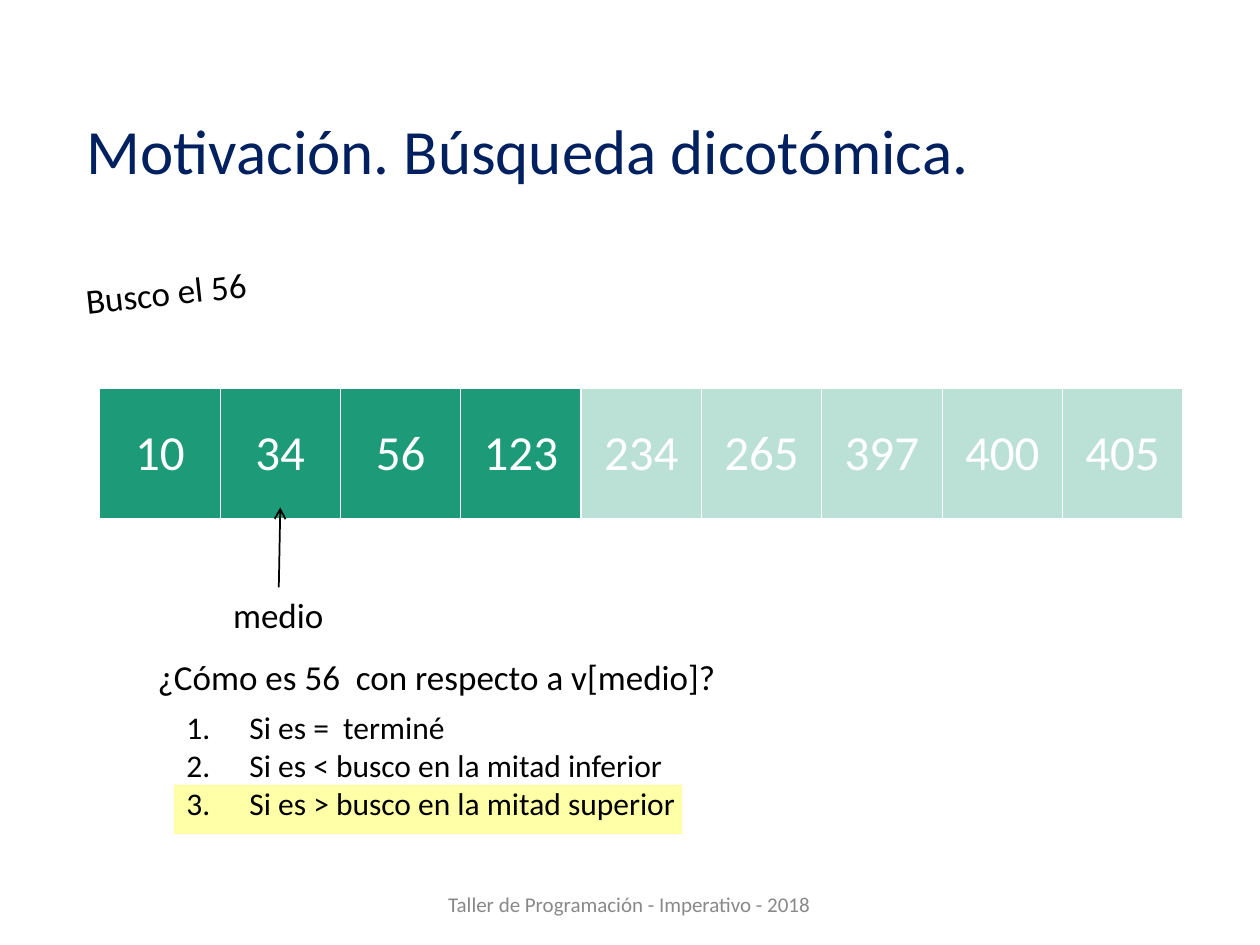
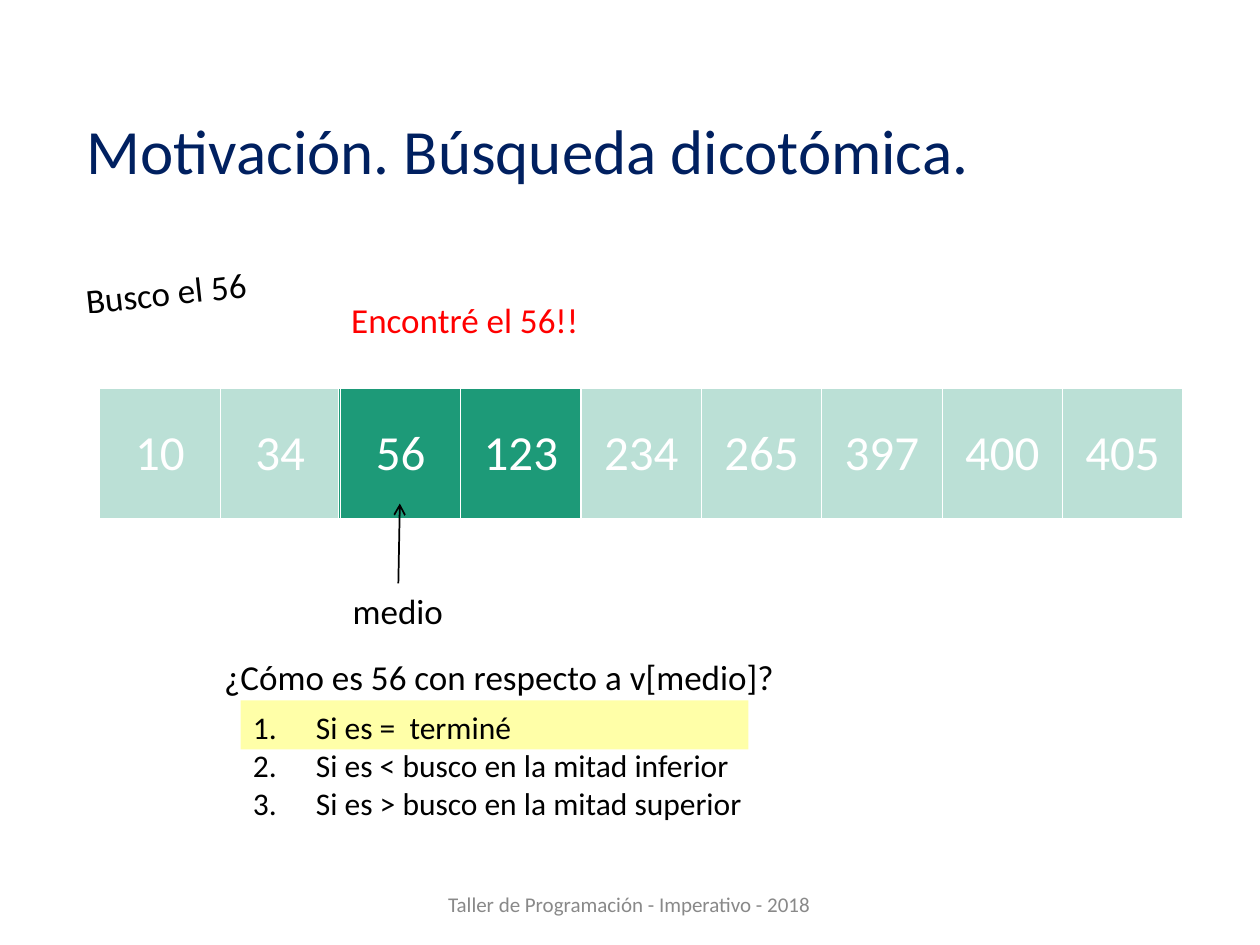
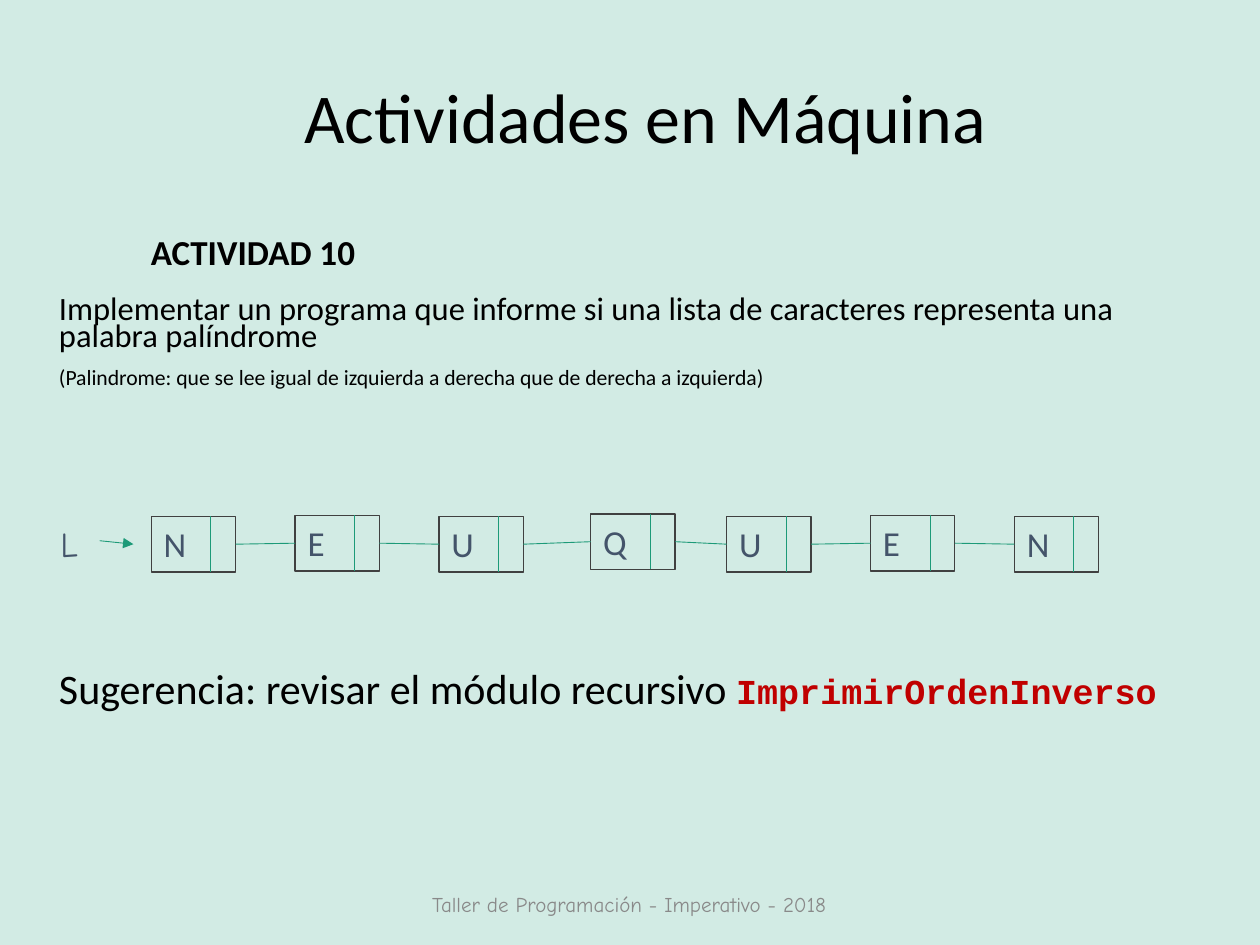
from lxml import etree
from pptx import Presentation
from pptx.dml.color import RGBColor
from pptx.enum.shapes import MSO_CONNECTOR, MSO_SHAPE
from pptx.enum.text import MSO_ANCHOR, MSO_AUTO_SIZE, PP_ALIGN
from pptx.oxml.ns import qn
from pptx.util import Cm, Pt

STRAIGHT = MSO_CONNECTOR.STRAIGHT
RECTANGLE = MSO_SHAPE.RECTANGLE
TOP, MIDDLE = MSO_ANCHOR.TOP, MSO_ANCHOR.MIDDLE
NO_RESIZE = MSO_AUTO_SIZE.NONE
LEFT, CENTER, JUSTIFY = PP_ALIGN.LEFT, PP_ALIGN.CENTER, PP_ALIGN.JUSTIFY
SIDE_TOP, SIDE_LEFT, SIDE_RIGHT = 0, 1, 3

BLACK = RGBColor(0x00, 0x00, 0x00)
WHITE = RGBColor(0xFF, 0xFF, 0xFF)
NAVY = RGBColor(0x00, 0x20, 0x60)
GREEN = RGBColor(0x1D, 0x9A, 0x78)
PALE_GREEN = RGBColor(0xD2, 0xEB, 0xE4)
YELLOW = RGBColor(0xFF, 0xFF, 0x00)
RED = RGBColor(0xFF, 0x00, 0x00)
DARK_RED = RGBColor(0xC0, 0x00, 0x00)
GRAY = RGBColor(0x89, 0x89, 0x89)
DARK_GRAY = RGBColor(0x40, 0x40, 0x40)
SLATE = RGBColor(0x44, 0x54, 0x6A)

BODY_FONT, HAND_FONT, CODE_FONT = "Calibri", "Comic Neue", "Courier New"

FOOTER = "Taller de Programación - Imperativo - 2018"
SEARCH_TITLE = "Motivación. Búsqueda dicotómica."
GOAL = "Busco el 56"
VALUES = [10, 34, 56, 123, 234, 265, 397, 400, 405]
OPTIONS = [
    "Si es =  terminé",
    "Si es < busco en la mitad inferior",
    "Si es > busco en la mitad superior",
]
UPPER_HALF = (11.71, 6.73, 13.21, 4.5)
LOWER_QUARTER = (0.33, 6.32, 6.5, 4.5)
SEARCH_STEPS = [
    {
        "veils": [UPPER_HALF],
        "middle": (4.45, 11.84),
        "found": None,
        "question": "¿Cómo es 56  con respecto a v[medio]?",
        "options_left": 3.51,
        "highlight_top": 15.82,
    },
    {
        "veils": [UPPER_HALF, LOWER_QUARTER],
        "middle": (6.86, 11.76),
        "found": "Encontré el 56!!",
        "question": "¿Cómo es 56 con respecto a v[medio]?",
        "options_left": 4.85,
        "highlight_top": 14.12,
    },
]

ACTIVITY_TITLE = "Actividades en Máquina"
ACTIVITY = "ACTIVIDAD 10"
STATEMENT = [
    "Implementar un programa que informe si una lista de caracteres representa una palabra palíndrome",
    "(Palindrome: que se lee igual de izquierda a derecha que de derecha a izquierda)",
]
HINT = "Sugerencia: revisar el módulo recursivo "
HINT_MODULE = "ImprimirOrdenInverso"
NODES = [
    ("N", 0, 10.41),
    ("E", 0, 10.39),
    ("U", 0, 10.41),
    ("Q", 0.16, 10.36),
    ("U", 0, 10.41),
    ("E", 0, 10.39),
    ("N", 0, 10.41),
]
NODE_LEFT, NODE_PITCH = 3.05, 2.9
NODE_WIDTH, NODE_HEIGHT, NODE_DATA_WIDTH = 1.7, 1.12, 1.2
LINE_HEIGHT = 1.12


def lengths(values):
    return [Cm(value) for value in values]


def style(paragraph, size, color, font=BODY_FONT, bold=False, align=LEFT):
    paragraph.font.size = Pt(size)
    paragraph.font.color.rgb = color
    paragraph.font.name = font
    paragraph.font.bold = bold
    paragraph.alignment = align


def add_text(slide, box, lines, size, color=BLACK, font=BODY_FONT, bold=False,
             align=LEFT, anchor=TOP, wrap=True, spacing=None, before=None, after=None):
    label = slide.shapes.add_textbox(*lengths(box))
    frame = label.text_frame
    frame.word_wrap = wrap
    frame.vertical_anchor = anchor
    if anchor == MIDDLE:
        frame.auto_size = NO_RESIZE
    frame.text = "\n".join(lines)
    for paragraph in frame.paragraphs:
        style(paragraph, size, color, font, bold, align)
        paragraph.line_spacing = spacing
        if before is not None:
            paragraph.space_before = Pt(before)
        if after is not None:
            paragraph.space_after = Pt(after)
    return label


def add_rectangle(slide, box, fill=None, opacity=100, line=None, width=0.5):
    rectangle = slide.shapes.add_shape(RECTANGLE, *lengths(box))
    rectangle.shadow.inherit = False
    if fill is None:
        rectangle.fill.background()
    else:
        rectangle.fill.solid()
        rectangle.fill.fore_color.rgb = fill
        tint = next(rectangle._element.spPr.iter(qn("a:srgbClr")))
        etree.SubElement(tint, qn("a:alpha"), val=str(opacity * 1000))
    if line is None:
        rectangle.line.fill.background()
    else:
        rectangle.line.color.rgb = line
        rectangle.line.width = Pt(width)
    return rectangle


def add_line(slide, start=(0, 0), end=(0, 0), color=GREEN, width=0.5, head=None):
    line = slide.shapes.add_connector(STRAIGHT, *lengths(start + end))
    line.line.color.rgb = color
    line.line.width = Pt(width)
    if head:
        etree.SubElement(line.line._get_or_add_ln(), qn("a:tailEnd"), type=head)
    etree.SubElement(line._element.spPr, qn("a:effectLst"))
    return line


def add_footer(slide, font=BODY_FONT):
    add_text(slide, (5.99, 17.63, 13.39, 1.02), [FOOTER], 12, GRAY, font,
             align=CENTER, anchor=MIDDLE, spacing=1.35, before=3)


def number(paragraph):
    properties = paragraph._p.get_or_add_pPr()
    properties.set("marL", str(Cm(1.27)))
    properties.set("indent", str(-Cm(1.27)))
    numbering = etree.Element(qn("a:buAutoNum"), type="arabicPeriod")
    properties.insert_element_before(numbering, "a:tabLst", "a:defRPr", "a:extLst")


def add_border(cell, side, width):
    border = etree.SubElement(cell._tc.get_or_add_tcPr(), qn(f"a:{side}"), w=str(Pt(width)))
    fill = etree.SubElement(border, qn("a:solidFill"))
    etree.SubElement(fill, qn("a:srgbClr"), val=str(WHITE))


def add_vector(slide):
    table = slide.shapes.add_table(1, len(VALUES), *lengths((2.01, 7.83, 21.84, 2.64))).table
    table.first_row = False
    table.horz_banding = False
    for index, value in enumerate(VALUES):
        table.columns[index].width = Cm(21.84) // len(VALUES)
        cell = table.cell(0, index)
        cell.text = str(value)
        cell.vertical_anchor = MIDDLE
        style(cell.text_frame.paragraphs[0], 28, WHITE, align=CENTER)
        for side, width in (("lnL", 0.45), ("lnR", 0.45), ("lnT", 0.45), ("lnB", 1.47)):
            add_border(cell, side, width)
        cell.fill.solid()
        cell.fill.fore_color.rgb = GREEN


def build_search(slide, step):
    add_text(slide, (1.5, 0.91, 21.92, 3.68), [SEARCH_TITLE], 36, NAVY,
             anchor=MIDDLE, spacing=1.35, before=13.5, after=6)
    add_footer(slide)
    add_vector(slide)
    goal = add_text(slide, (1.47, 5.33, 3.91, LINE_HEIGHT), [GOAL], 20, wrap=False)
    goal.rotation = -6.3
    for veil in step["veils"]:
        add_rectangle(slide, veil, WHITE, 70, WHITE)

    left, top = step["middle"]
    middle = add_text(slide, (left, top, 2.34, LINE_HEIGHT), ["medio"], 20, wrap=False)
    pointer = add_line(slide, (left + 1.17, top), (left + 1.2, top - 1.61), BLACK, 1, "arrow")
    pointer.begin_connect(middle, SIDE_TOP)

    if step["found"]:
        add_text(slide, (6.83, 5.89, 6.27, LINE_HEIGHT), [step["found"]], 20, RED)
    left = step["options_left"]
    add_rectangle(slide, (left, step["highlight_top"], 10.24, 0.99), YELLOW, 34)
    add_text(slide, (left - 0.58, 13.08, 12.37, LINE_HEIGHT), [step["question"]], 20)
    options = add_text(slide, (left, 14.15, 11.1, 2.54), OPTIONS, 18)
    for option in options.text_frame.paragraphs:
        number(option)


def add_node(slide, letter, left, top):
    node = add_rectangle(slide, (left, top, NODE_WIDTH, NODE_HEIGHT), line=DARK_GRAY, width=0.75)
    node.text_frame.text = letter
    node.text_frame.vertical_anchor = TOP
    style(node.text_frame.paragraphs[0], 20, SLATE)
    divider = left + NODE_DATA_WIDTH
    add_line(slide, (divider, top), (divider, top + NODE_HEIGHT))
    return node


def build_activity(slide):
    slide.background.fill.solid()
    slide.background.fill.fore_color.rgb = PALE_GREEN
    statement = add_text(slide, (0.94, 5.89, 23.65, 2.16), STATEMENT, 18.6, spacing=0.7, before=10)
    statement.text_frame.paragraphs[1].font.size = Pt(12.4)
    add_footer(slide, HAND_FONT)

    add_text(slide, (0.97, 10.41, 0.86, LINE_HEIGHT), ["L"], 20, SLATE, HAND_FONT, wrap=False)
    add_line(slide, (2.01, 10.9), (2.69, 10.97), head="triangle")
    nodes = [
        add_node(slide, letter, NODE_LEFT + index * NODE_PITCH + shift, top)
        for index, (letter, shift, top) in enumerate(NODES)
    ]
    for node, following in zip(nodes, nodes[1:]):
        link = add_line(slide)
        link.begin_connect(node, SIDE_RIGHT)
        link.end_connect(following, SIDE_LEFT)

    add_text(slide, (5.89, 0.86, 14.91, 2.34), [ACTIVITY_TITLE], 40,
             align=JUSTIFY, anchor=MIDDLE, spacing=1.35, before=10)
    add_text(slide, (2.79, 4.52, 4.65, LINE_HEIGHT), [ACTIVITY], 20, bold=True,
             align=JUSTIFY, wrap=False)
    hint = add_text(slide, (0.94, 13.23, 23.11, 1.27), [HINT], 24)
    module = hint.text_frame.paragraphs[0].add_run()
    module.text = HINT_MODULE
    module.font.size = Pt(20)
    module.font.name = CODE_FONT
    module.font.bold = True
    module.font.color.rgb = DARK_RED


def main():
    deck = Presentation()
    deck.slide_width, deck.slide_height = Cm(25.4), Cm(19.05)
    blank = deck.slide_layouts[6]
    for step in SEARCH_STEPS:
        build_search(deck.slides.add_slide(blank), step)
    build_activity(deck.slides.add_slide(blank))
    deck.save("out.pptx")


if __name__ == "__main__":
    main()
